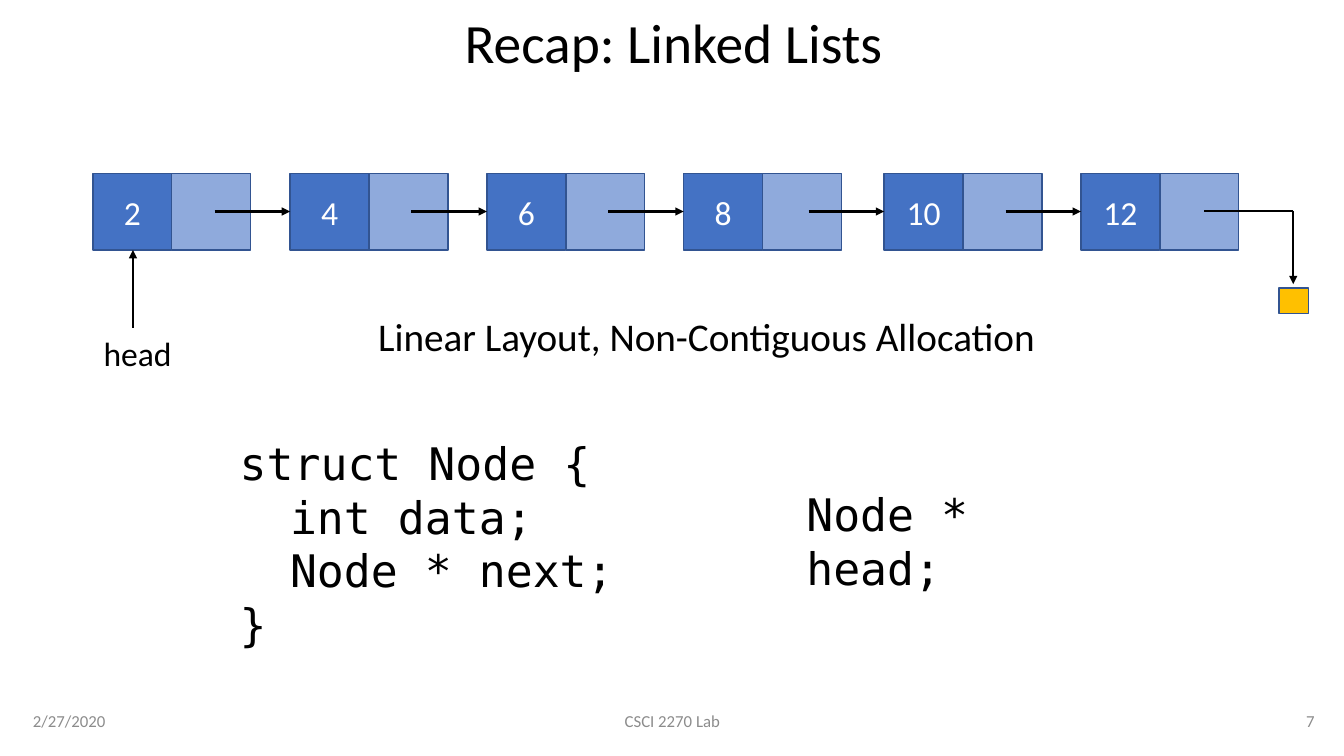
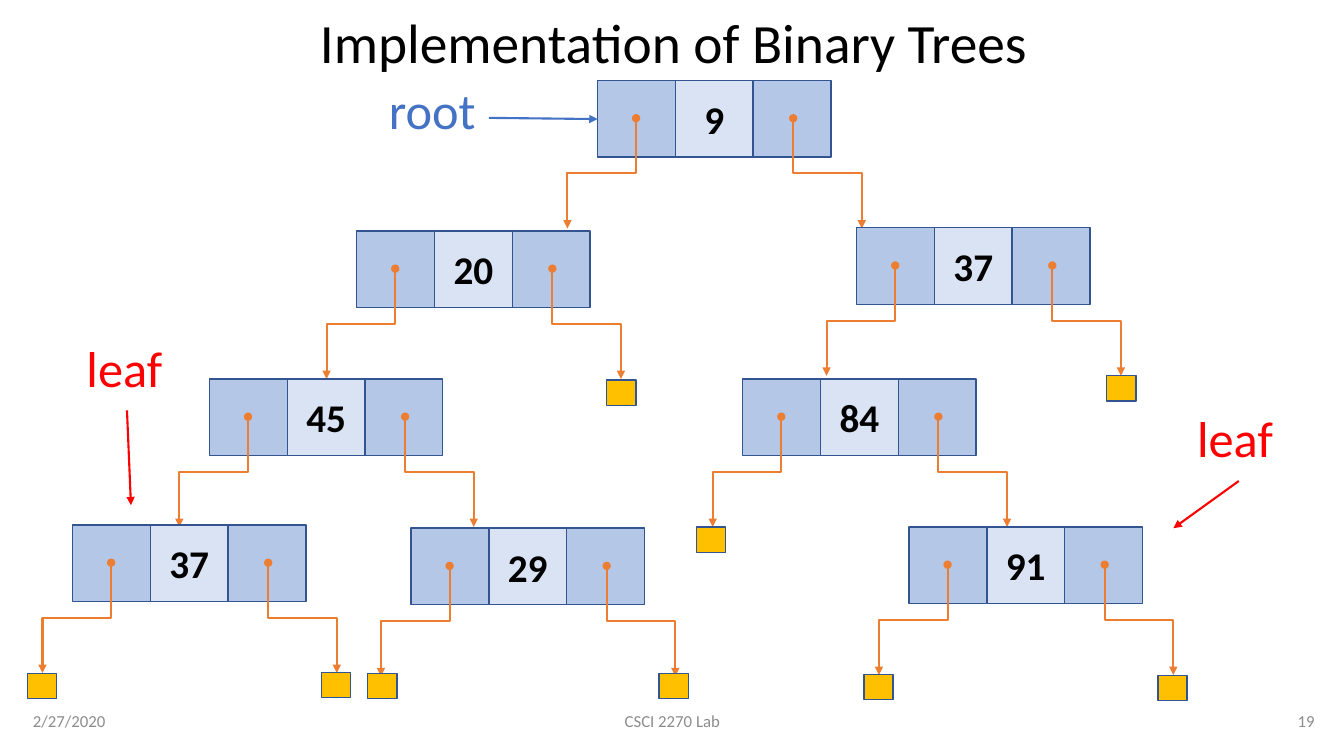
from dataclasses import dataclass
from itertools import pairwise

from lxml import etree
from pptx import Presentation
from pptx.dml.color import RGBColor
from pptx.enum.shapes import MSO_CONNECTOR, MSO_SHAPE
from pptx.enum.text import MSO_ANCHOR, MSO_AUTO_SIZE, PP_ALIGN
from pptx.oxml.ns import qn
from pptx.util import Cm, Pt

RECTANGLE = MSO_SHAPE.RECTANGLE
STRAIGHT, ELBOW = MSO_CONNECTOR.STRAIGHT, MSO_CONNECTOR.ELBOW
TOP, MIDDLE = MSO_ANCHOR.TOP, MSO_ANCHOR.MIDDLE
LEFT, CENTER, RIGHT = PP_ALIGN.LEFT, PP_ALIGN.CENTER, PP_ALIGN.RIGHT
GROW, FIXED = MSO_AUTO_SIZE.SHAPE_TO_FIT_TEXT, MSO_AUTO_SIZE.NONE


@dataclass(frozen=True)
class Theme:
    """Colours, fonts and type sizes of the deck."""

    black: str = "000000"
    white: str = "FFFFFF"
    grey: str = "8C8C8C"
    blue: str = "4472C4"
    border: str = "325491"
    list_link: str = "8FAADC"
    tree_link: str = "B4C7E7"
    tree_value: str = "DAE3F3"
    null: str = "FFC000"
    orange: str = "ED7D31"
    red: str = "FF0000"
    font: str = "Calibri"
    code_font: str = "DejaVu Sans Mono"
    title_size: float = 39.6
    label_size: int = 36
    code_size: int = 32
    large_size: int = 28
    body_size: int = 24
    footer_size: int = 12
    border_width: int = 1
    arrow_width: float = 1.5


THEME = Theme()
CELL_HEIGHT = 1.93
LIST_CELL = 1.99
TREE_CELL = 1.96
LIST_TOP = 4.37
LIST_ARROW_Y = 5.33
LINK_DROP, LINK_REACH = 2.78, 1.73


def apply_format(target, values):
    """Set each named attribute of the target."""
    for name, value in values.items():
        setattr(target, name, value)


def write_text(shape, text, size, color, align=CENTER, anchor=MIDDLE,
               font=THEME.font, bold=False, spacing=None, fit=FIXED):
    """Fill a shape with evenly styled paragraphs, one per line."""
    frame = shape.text_frame
    apply_format(frame, {"word_wrap": True, "auto_size": fit,
                         "vertical_anchor": anchor})
    for number, line in enumerate(text.split("\n")):
        paragraph = frame.add_paragraph() if number else frame.paragraphs[0]
        apply_format(paragraph, {"alignment": align, "line_spacing": spacing})
        run = paragraph.add_run()
        run.text = line
        apply_format(run.font, {"name": font, "size": Pt(size), "bold": bold})
        run.font.color.rgb = RGBColor.from_string(color)


def add_text(slide, box, text, size, color=THEME.black, **style):
    """Add a text box placed in centimetres."""
    write_text(slide.shapes.add_textbox(*map(Cm, box)), text, size, color, **style)


def add_label(slide, box, text, size, color=THEME.black, **style):
    """Add a text box that starts at its top and grows with its text."""
    add_text(slide, box, text, size, color,
             **{"align": LEFT, "anchor": TOP, "fit": GROW, **style})


def add_cell(shapes, box, fill):
    """Add a bordered rectangle."""
    cell = shapes.add_shape(RECTANGLE, *map(Cm, box))
    cell.shadow.inherit = False
    cell.fill.solid()
    cell.fill.fore_color.rgb = RGBColor.from_string(fill)
    cell.line.color.rgb = RGBColor.from_string(THEME.border)
    cell.line.width = Pt(THEME.border_width)
    return cell


def add_null(slide, left, top):
    """Add the small square that stands for a null pointer."""
    add_cell(slide.shapes, (left, top, 0.74, 0.64), THEME.null)


def add_arrow(shapes, start, end, color, kind=STRAIGHT, head=None, tail="triangle"):
    """Add a connector with optional ends."""
    arrow = shapes.add_connector(kind, *map(Cm, (*start, *end)))
    arrow.line.color.rgb = RGBColor.from_string(color)
    arrow.line.width = Pt(THEME.arrow_width)
    properties = arrow._element.spPr
    outline = properties.find(qn("a:ln"))
    for tag, ending in (("a:headEnd", head), ("a:tailEnd", tail)):
        if ending:
            etree.SubElement(outline, qn(tag), type=ending)
    etree.SubElement(properties, qn("a:effectLst"))
    return arrow


def add_child_link(shapes, x, y, side):
    """Add an elbow from a link cell down to a child; side is -1 or 1."""
    center_x, center_y = x + side * LINK_REACH / 2, y + LINK_DROP / 2
    half_drop, half_reach = side * LINK_DROP / 2, LINK_REACH / 2
    link = add_arrow(shapes,
                     (center_x + half_drop, center_y - half_reach),
                     (center_x - half_drop, center_y + half_reach),
                     THEME.orange, ELBOW, head="oval")
    quarter_turns = 1 if side < 0 else 3
    link._element.spPr.find(qn("a:xfrm")).set("rot", str(quarter_turns * 5400000))


def add_list_node(slide, value, left):
    """Add a list node: a value cell and a link cell."""
    size = (LIST_CELL, CELL_HEIGHT)
    value_cell = add_cell(slide.shapes, (left, LIST_TOP, *size), THEME.blue)
    write_text(value_cell, value, THEME.body_size, THEME.white)
    add_cell(slide.shapes, (left + LIST_CELL, LIST_TOP, *size), THEME.list_link)


def add_tree_node(slide, value, left, top):
    """Add a grouped tree node: link, value, link and two child links."""
    shapes = slide.shapes.add_group_shape().shapes
    fills = (THEME.tree_link, THEME.tree_value, THEME.tree_link)
    cells = [add_cell(shapes, (left + i * TREE_CELL, top, TREE_CELL, CELL_HEIGHT), fill)
             for i, fill in enumerate(fills)]
    write_text(cells[1], value, THEME.large_size, THEME.black, bold=True)
    for offset, side in ((0.97, -1), (4.93, 1)):
        add_child_link(shapes, left + offset, top + 0.95, side)


def add_page(deck, title, number):
    """Add a blank slide with the shared title and footer."""
    slide = deck.slides.add_slide(deck.slide_layouts[6])
    add_text(slide, (0.58, 0.38, 32.79, 1.52), title, THEME.title_size, spacing=0.9)
    for left, width, text, align in ((0.58, 7.62, "2/27/2020", LEFT),
                                     (11.23, 11.43, "CSCI 2270 Lab", CENTER),
                                     (25.76, 7.62, number, RIGHT)):
        add_text(slide, (left, 17.65, width, 1.02), text, THEME.footer_size,
                 THEME.grey, align=align)
    return slide


def build_linked_list(deck):
    """Build the linked list recap."""
    slide = add_page(deck, "Recap: Linked Lists", "7")
    nodes = {"2": 2.34, "4": 7.31, "6": 12.27, "8": 17.23, "10": 22.28, "12": 27.24}
    for value, left in nodes.items():
        add_list_node(slide, value, left)
    for _, following in pairwise(nodes.values()):
        add_arrow(slide.shapes, (following - 1.9, LIST_ARROW_Y),
                  (following, LIST_ARROW_Y), THEME.black)

    corner = (32.59, 5.31)
    add_arrow(slide.shapes, (30.35, 5.31), corner, THEME.black, tail=None)
    add_arrow(slide.shapes, corner, (32.59, 7.16), THEME.black)
    add_null(slide, 32.23, 7.26)
    add_arrow(slide.shapes, (3.35, 8.26), (3.35, LIST_TOP + CELL_HEIGHT), THEME.black)
    add_label(slide, (2.36, 8.26, 2.26, 1.27), "head", THEME.body_size)
    add_label(slide, (8.99, 7.75, 17.63, 1.45),
              "Linear Layout, Non-Contiguous Allocation", THEME.large_size, align=CENTER)
    add_label(slide, (5.79, 10.85, 11.43, 5.74),
              "struct Node {\n\tint data;\n\tNode * next;\n}",
              THEME.code_size, font=THEME.code_font)
    add_label(slide, (20.07, 12.14, 8, 1.65), "Node * head;",
              THEME.code_size, font=THEME.code_font)


def build_binary_tree(deck):
    """Build the binary tree diagram."""
    slide = add_page(deck, "Implementation of Binary Trees", "19")
    for value, left, top in (("9", 15.06, 2.03),
                             ("20", 8.99, 5.82), ("37", 21.59, 5.74),
                             ("45", 5.28, 9.55), ("84", 18.72, 9.55),
                             ("37", 1.83, 13.23), ("29", 10.36, 13.31),
                             ("91", 22.91, 13.28)):
        add_tree_node(slide, value, left, top)
    for left, top in ((15.29, 9.58), (27.89, 9.47), (17.55, 13.28),
                      (0.69, 16.97), (8.1, 16.94), (9.27, 16.97),
                      (16.61, 16.97), (21.77, 16.99), (29.18, 17.02)):
        add_null(slide, left, top)
    for text, corner, start, end, color in (
            ("root", (9.55, 1.88), (12.32, 2.97), (15.06, 3), THEME.blue),
            ("leaf", (1.93, 8.36), (3.2, 10.34), (3.3, 12.73), THEME.red),
            ("leaf", (29.92, 10.13), (31.22, 12.12), (29.57, 13.31), THEME.red)):
        add_arrow(slide.shapes, start, end, color)
        add_label(slide, (*corner, 3.12, 1.8), text, THEME.label_size, color)


def main():
    """Build and save the deck."""
    deck = Presentation()
    apply_format(deck, {"slide_width": Cm(33.87), "slide_height": Cm(19.05)})
    build_linked_list(deck)
    build_binary_tree(deck)
    deck.save("out.pptx")


main()
